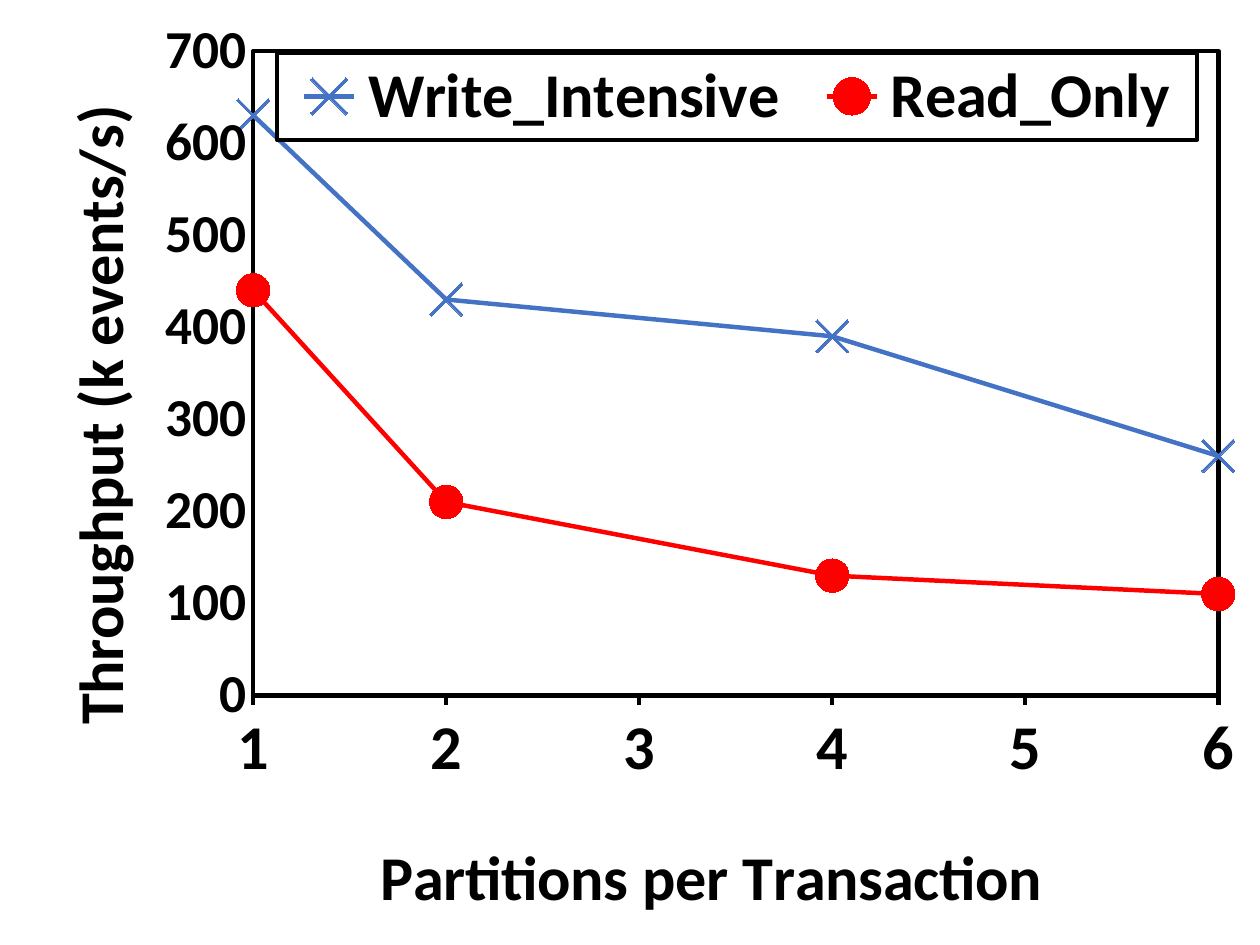
from lxml import etree
from pptx import Presentation
from pptx.chart.data import XyChartData
from pptx.dml.color import RGBColor
from pptx.enum.chart import XL_CHART_TYPE, XL_LEGEND_POSITION, XL_MARKER_STYLE, XL_TICK_MARK
from pptx.oxml import parse_xml
from pptx.oxml.ns import nsdecls, qn
from pptx.util import Cm, Pt

SCATTER = XL_CHART_TYPE.XY_SCATTER_LINES
TOP = XL_LEGEND_POSITION.TOP
CROSS, DOT = XL_MARKER_STYLE.X, XL_MARKER_STYLE.CIRCLE
TICK_OUT, TICK_NONE = XL_TICK_MARK.OUTSIDE, XL_TICK_MARK.NONE

COLORS = {"ink": "000000", "paper": "FFFFFF", "write": "4472C4", "read": "FF0000"}
FONT = "Calibri"
PARTITIONS = [1, 2, 4, 6]
SERIES = [
    ("Write_Intensive", [630, 430, 390, 260], "write", CROSS),
    ("Read_Only", [440, 210, 130, 110], "read", DOT),
]


def rgb(name):
    return RGBColor.from_string(COLORS[name])


def style_font(font, size):
    font.name = FONT
    font.size = Pt(size)
    font.bold = True
    font.color.rgb = rgb("ink")


def make_layout(x, y, w=None, h=None, inner=False):
    layout = etree.Element(qn("c:layout"))
    manual = etree.SubElement(layout, qn("c:manualLayout"))
    if inner:
        etree.SubElement(manual, qn("c:layoutTarget"), val="inner")
    for tag in ("xMode", "yMode"):
        etree.SubElement(manual, qn(f"c:{tag}"), val="edge")
    for tag, value in zip("xywh", (x, y, w, h)):
        if value is not None:
            etree.SubElement(manual, qn(f"c:{tag}"), val=str(value))
    return layout


def place_after(element, anchor, layout):
    for old in element.findall(qn("c:layout")):
        element.remove(old)
    if anchor is None:
        element.insert(0, layout)
    else:
        element.find(qn(anchor)).addnext(layout)


def make_frame(border):
    line = "<a:noFill/>"
    if border:
        line = f'<a:solidFill><a:srgbClr val="{COLORS["ink"]}"/></a:solidFill>'
    return parse_xml(
        f'<c:spPr {nsdecls("c", "a")}>'
        f'<a:solidFill><a:srgbClr val="{COLORS["paper"]}"/></a:solidFill>'
        f'<a:ln w="{Pt(2)}">{line}</a:ln></c:spPr>'
    )


def style_axis(axis, title, size, bounds, step, tick, layout):
    axis.minimum_scale, axis.maximum_scale = bounds
    axis.major_unit = step
    axis.has_major_gridlines = False
    axis.major_tick_mark = tick
    axis.minor_tick_mark = TICK_NONE
    axis.tick_labels.number_format = "General"
    axis.tick_labels.number_format_is_linked = False
    style_font(axis.tick_labels.font, size)
    tf = axis.axis_title.text_frame
    r = tf.paragraphs[0].add_run()
    r.text = title
    style_font(r.font, 28)
    place_after(axis.axis_title._element, "c:tx", layout)


def style_legend(chart):
    chart.has_legend = True
    legend = chart.legend
    legend.position = TOP
    legend.include_in_layout = True
    style_font(legend.font, 28)
    place_after(legend._element, "c:legendPos", make_layout(0.22, 0.056, 0.73, 0.092))
    legend._element.find(qn("c:overlay")).addnext(make_frame(True))


def style_series(series, color, marker):
    series.smooth = False
    series.format.line.color.rgb = rgb(color)
    series.format.line.width = Pt(2)
    series.marker.style = marker
    series.marker.size = 15
    fill = series.marker.format.fill
    if marker == CROSS:
        fill.background()
    else:
        fill.solid()
        fill.fore_color.rgb = rgb(color)
    series.marker.format.line.color.rgb = rgb(color)


def add_throughput_chart(slide, x, y, w, h):
    data = XyChartData()
    for name, values, _, _ in SERIES:
        series = data.add_series(name)
        for point in zip(PARTITIONS, values):
            series.add_data_point(*point)
    chart = slide.shapes.add_chart(SCATTER, x, y, w, h, data).chart
    chart.has_title = False
    chart.font.name = FONT
    chart.font.size = Pt(10)
    chart.font.color.rgb = rgb("ink")
    chart.plots[0].vary_by_categories = False
    for series, (_, _, color, marker) in zip(chart.plots[0].series, SERIES):
        style_series(series, color, marker)

    style_axis(chart.category_axis, "Partitions per Transaction", 28, (1, 6), 1,
               TICK_OUT, make_layout(0.293, 0.871))
    chart.category_axis.format.line.color.rgb = rgb("ink")
    chart.category_axis.format.line.width = Pt(2)
    style_axis(chart.value_axis, "Throughput (k events/s)", 24, (0, 700), 100,
               TICK_NONE, make_layout(0.037, 0.1))
    chart.value_axis.format.line.fill.background()
    body = chart.value_axis.axis_title.text_frame._txBody.find(qn("a:bodyPr"))
    body.set("rot", "-5400000")
    body.set("vert", "horz")

    style_legend(chart)
    space = chart._chartSpace
    plot_area = space.chart.plotArea
    place_after(plot_area, None, make_layout(0.201, 0.054, 0.766, 0.682, inner=True))
    plot_area.append(make_frame(True))
    space.chart.addnext(make_frame(False))


def main():
    prs = Presentation()
    prs.slide_width, prs.slide_height = Cm(20), Cm(15)
    s = prs.slides.add_slide(prs.slide_layouts[6])
    add_throughput_chart(s, 0, 0, prs.slide_width, prs.slide_height)
    prs.save("out.pptx")


if __name__ == "__main__":
    main()
